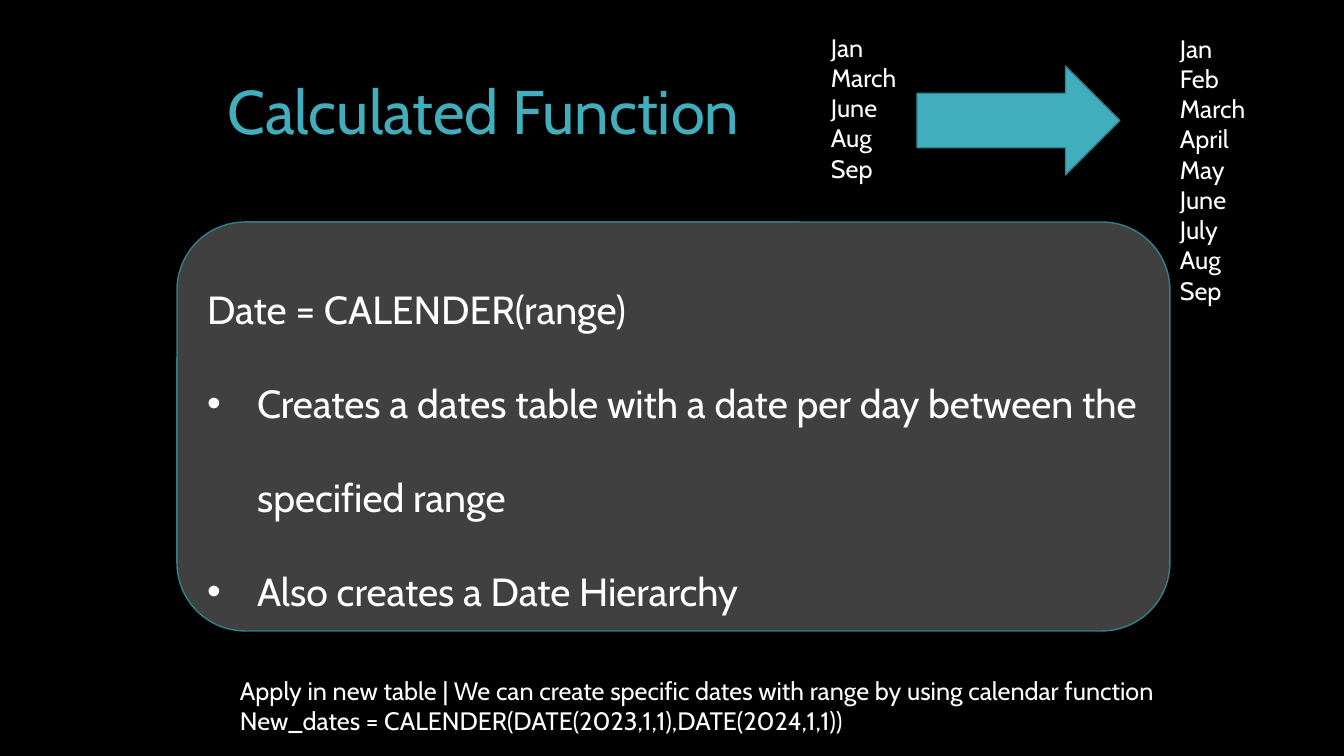
from dataclasses import dataclass

from lxml import etree
from pptx import Presentation
from pptx import util as u
from pptx.dml.color import RGBColor
from pptx.enum import shapes, text
from pptx.oxml.ns import qn

SCALE = 914400 / 100.8


@dataclass(frozen=True)
class Theme:
    """Colours, font and type sizes of the slide."""
    background: str = "000000"
    panel: str = "404040"
    accent: str = "41AEBD"
    outline: str = "30818C"
    words: str = "FFFFFF"
    font: str = "Cabin"
    title_size: int = 44
    body_size: int = 28
    note_size: int = 18


THEME = Theme()


def px(length):
    """Turn whole pixels into EMU."""
    return u.Emu(round(length * SCALE))


def place(shape, box):
    """Move a shape to a box of left, top, width and height."""
    shape.left, shape.top, shape.width, shape.height = map(px, box)


def write(paragraph, words, size, color=THEME.words):
    """Add one formatted run to a paragraph."""
    run = paragraph.add_run()
    run.text = words
    run.font.name = THEME.font
    run.font.size = u.Pt(size)
    run.font.color.rgb = RGBColor.from_string(color)


def write_lines(frame, lines, size):
    """Write one paragraph per line and return the paragraphs."""
    for number, line in enumerate(lines):
        paragraph = frame.add_paragraph() if number else frame.paragraphs[0]
        write(paragraph, line, size)
    return frame.paragraphs


def add_filled(slide, kind, box, fill):
    """Add an outlined preset shape with a flat fill."""
    shape = slide.shapes.add_shape(kind, *map(px, box))
    shape.shadow.inherit = False
    shape.fill.solid()
    shape.fill.fore_color.rgb = RGBColor.from_string(fill)
    shape.line.color.rgb = RGBColor.from_string(THEME.outline)
    shape.line.width = u.Pt(1)
    return shape


def set_bullet(paragraph, indent, bulleted):
    """Give a paragraph a hanging bullet, or none."""
    properties = paragraph._p.get_or_add_pPr()
    hanging = px(indent) if bulleted else 0
    properties.set("marL", str(hanging))
    properties.set("indent", str(-hanging))
    if bulleted:
        etree.SubElement(properties, qn("a:buFont"), typeface="Arial")
        etree.SubElement(properties, qn("a:buChar"), char="•")
    else:
        etree.SubElement(properties, qn("a:buNone"))


def fill_title(slide, box, words):
    """Place and write the slide title."""
    title = slide.shapes.title
    place(title, box)
    frame = title.text_frame
    frame.auto_size = text.MSO_AUTO_SIZE.NONE
    frame.vertical_anchor = text.MSO_ANCHOR.MIDDLE
    frame.paragraphs[0].alignment = text.PP_ALIGN.CENTER
    write(frame.paragraphs[0], words, THEME.title_size, THEME.accent)


def fill_panel(slide, box, lines):
    """Place the rounded panel with a lead line and bullets on it."""
    left, top, width, height = box
    inset = 20
    panel = add_filled(slide, shapes.MSO_SHAPE.ROUNDED_RECTANGLE, box, THEME.panel)
    body = slide.placeholders[1]
    body.element.addprevious(panel.element)
    place(body, (left + inset, top + inset, width - 2 * inset, height - 2 * inset))
    frame = body.text_frame
    frame.auto_size = text.MSO_AUTO_SIZE.NONE
    frame.vertical_anchor = text.MSO_ANCHOR.MIDDLE
    for number, paragraph in enumerate(write_lines(frame, lines, THEME.body_size)):
        paragraph.alignment = text.PP_ALIGN.LEFT
        paragraph.line_spacing = 2.0
        paragraph.space_before = u.Pt(0)
        set_bullet(paragraph, 50, number > 0)


def add_note(slide, box, lines):
    """Add a plain text box with one paragraph per line."""
    frame = slide.shapes.add_textbox(*map(px, box)).text_frame
    frame.word_wrap = True
    write_lines(frame, lines, THEME.note_size)


def add_months(slide, box):
    """Show the months with gaps, an arrow and the full run of months."""
    left, top, width, height = box
    column = 128
    full = ["Jan", "Feb", "March", "April", "May", "June", "July", "Aug", "Sep"]
    sparse = [month for month in full if month not in ("Feb", "April", "May", "July")]
    add_note(slide, (left, top, column, 194), sparse)
    add_note(slide, (left + width - column, top + 1, column, height - 1), full)
    add_filled(slide, shapes.MSO_SHAPE.RIGHT_ARROW,
               (left + 96, top + 39, 203, 109), THEME.accent)


def main():
    """Build and save the slide."""
    presentation = Presentation()
    presentation.slide_width = px(1344)
    presentation.slide_height = px(756)
    slide = presentation.slides.add_slide(presentation.slide_layouts[1])
    slide.background.fill.solid()
    slide.background.fill.fore_color.rgb = RGBColor.from_string(THEME.background)
    fill_title(slide, (177, 44, 613, 131), "Calculated Function")
    fill_panel(slide, (177, 222, 993, 409), [
        "Date = CALENDER(range)",
        "Creates a dates table with a date per day between the specified range",
        "Also creates a Date Hierarchy",
    ])
    add_months(slide, (821, 27, 477, 317))
    add_note(slide, (230, 670, 939, 72), [
        "Apply in new table | We can create specific dates with range by using calendar function",
        "New_dates = CALENDER(DATE(2023,1,1),DATE(2024,1,1))",
    ])
    presentation.save("out.pptx")


if __name__ == "__main__":
    main()
